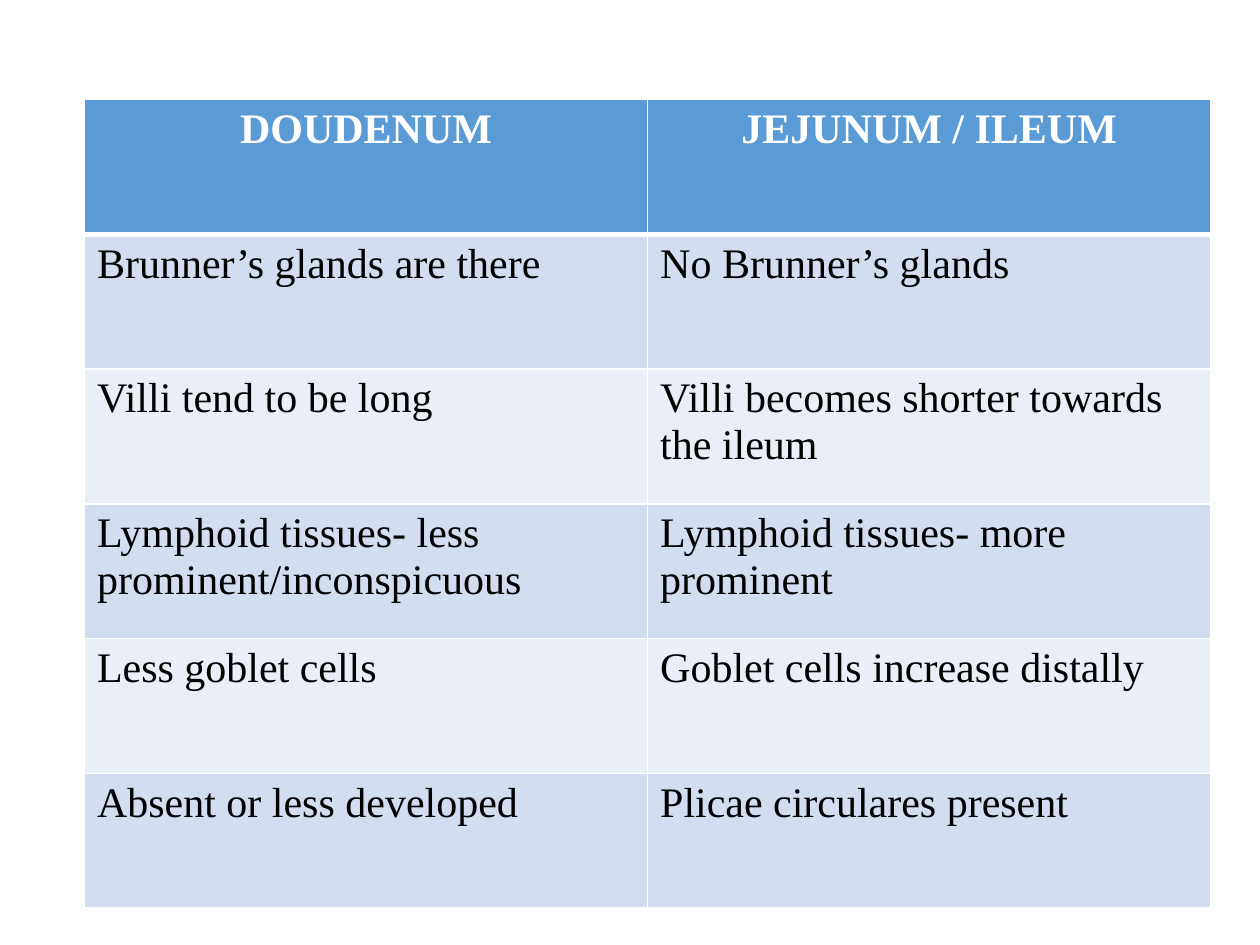
from dataclasses import dataclass

from pptx import Presentation
from pptx.dml.color import RGBColor
from pptx.enum import text
from pptx.oxml import parse_xml
from pptx.oxml.ns import nsdecls
from pptx.util import Inches, Pt


@dataclass(frozen=True)
class Theme:
    font: str = "Times New Roman"
    size: int = 24
    head: str = "5B9BD5"
    bands: tuple = ("D2DEEF", "EAEFF7")
    light: str = "FFFFFF"
    dark: str = "000000"
    thin: int = 1
    thick: int = 3


THEME = Theme()
ROWS = [
    ("DOUDENUM", "JEJUNUM / ILEUM"),
    ("Brunner’s glands are there", "No Brunner’s glands"),
    ("Villi tend to be long", "Villi becomes shorter towards the ileum"),
    ("Lymphoid tissues- less prominent/inconspicuous",
     "Lymphoid tissues- more prominent"),
    ("Less goblet cells", "Goblet cells increase distally"),
    ("Absent or less developed", "Plicae circulares present"),
]


def add_edges(cell, row):
    """Draw thin cell borders, with a thick rule under the header row."""
    widths = dict.fromkeys("LRTB", THEME.thin)
    if row < 2:
        widths["B" if row == 0 else "T"] = THEME.thick
    props = cell._tc.get_or_add_tcPr()
    for side, width in widths.items():
        props.append(parse_xml(
            f'<a:ln{side} {nsdecls("a")} w="{Pt(width)}"><a:solidFill>'
            f'<a:srgbClr val="{THEME.light}"/></a:solidFill></a:ln{side}>'))


def fill_cell(cell, words, row):
    head = row == 0
    add_edges(cell, row)
    cell.fill.solid()
    color = THEME.head if head else THEME.bands[(row - 1) % 2]
    cell.fill.fore_color.rgb = RGBColor.from_string(color)
    cell.text_frame.text = words
    para = cell.text_frame.paragraphs[0]
    para.alignment = text.PP_ALIGN.CENTER if head else text.PP_ALIGN.LEFT
    font = para.runs[0].font
    font.name, font.size, font.bold = THEME.font, Pt(THEME.size), head
    font.color.rgb = RGBColor.from_string(THEME.light if head else THEME.dark)


def add_grid(slide):
    frame = slide.shapes.add_table(len(ROWS), len(ROWS[0]), Inches(0.67),
                                   Inches(0.79), Inches(8.94), Inches(6.42))
    for row, line in enumerate(ROWS):
        for col, words in enumerate(line):
            fill_cell(frame.table.cell(row, col), words, row)


def main():
    deck = Presentation()
    deck.slide_width, deck.slide_height = Inches(10), Inches(7.5)
    slide = deck.slides.add_slide(deck.slide_layouts[6])
    add_grid(slide)
    deck.save("out.pptx")


if __name__ == "__main__":
    main()
